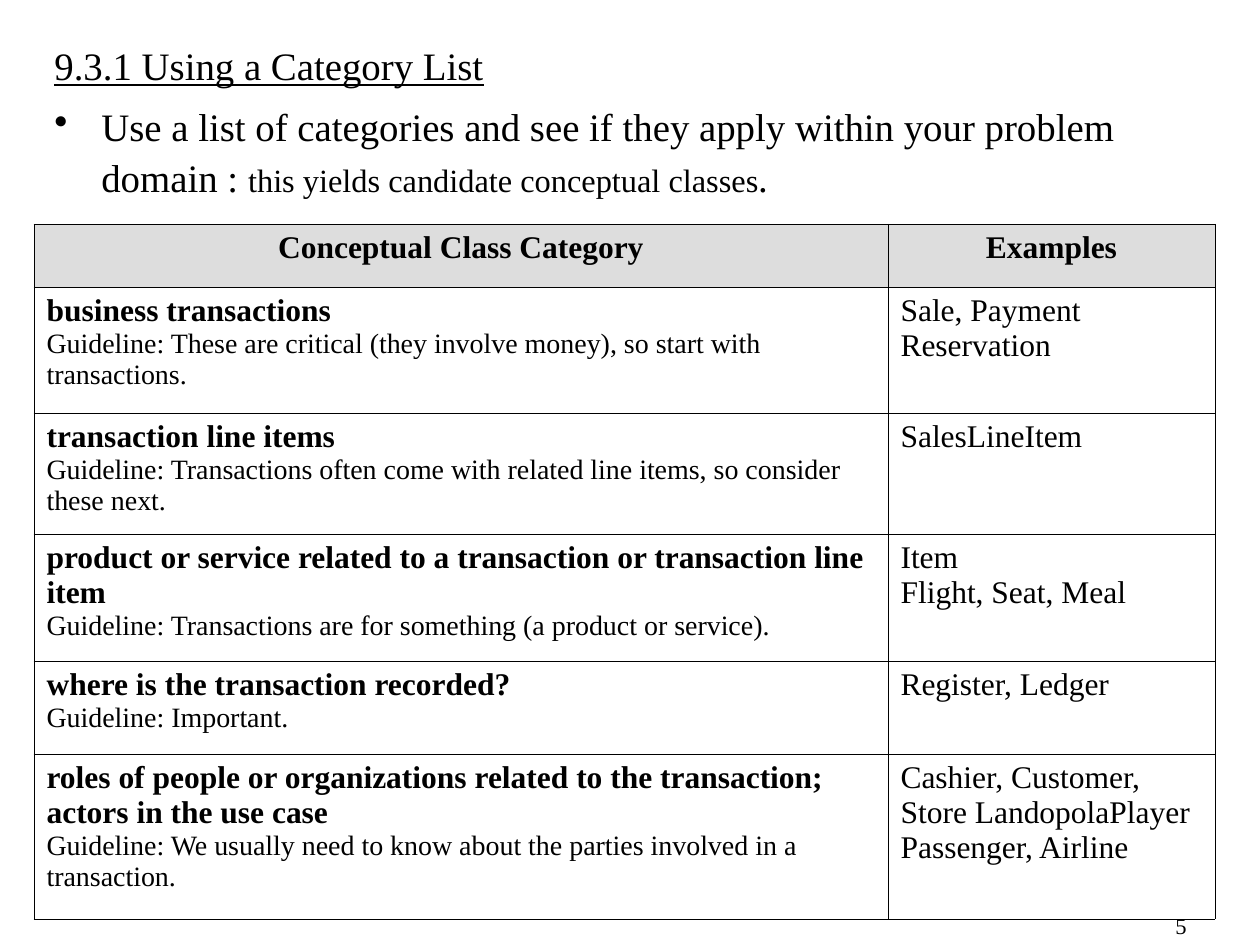
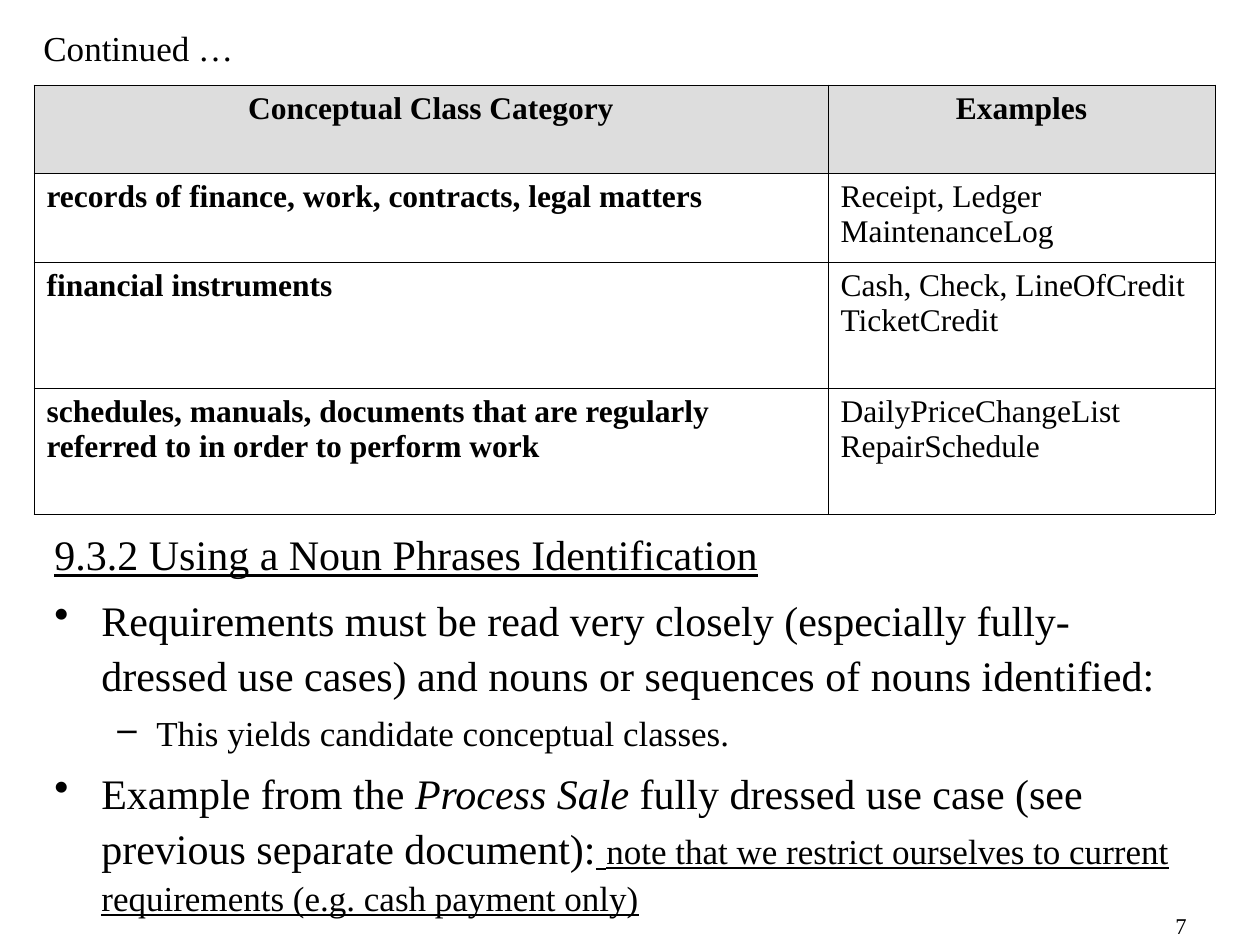
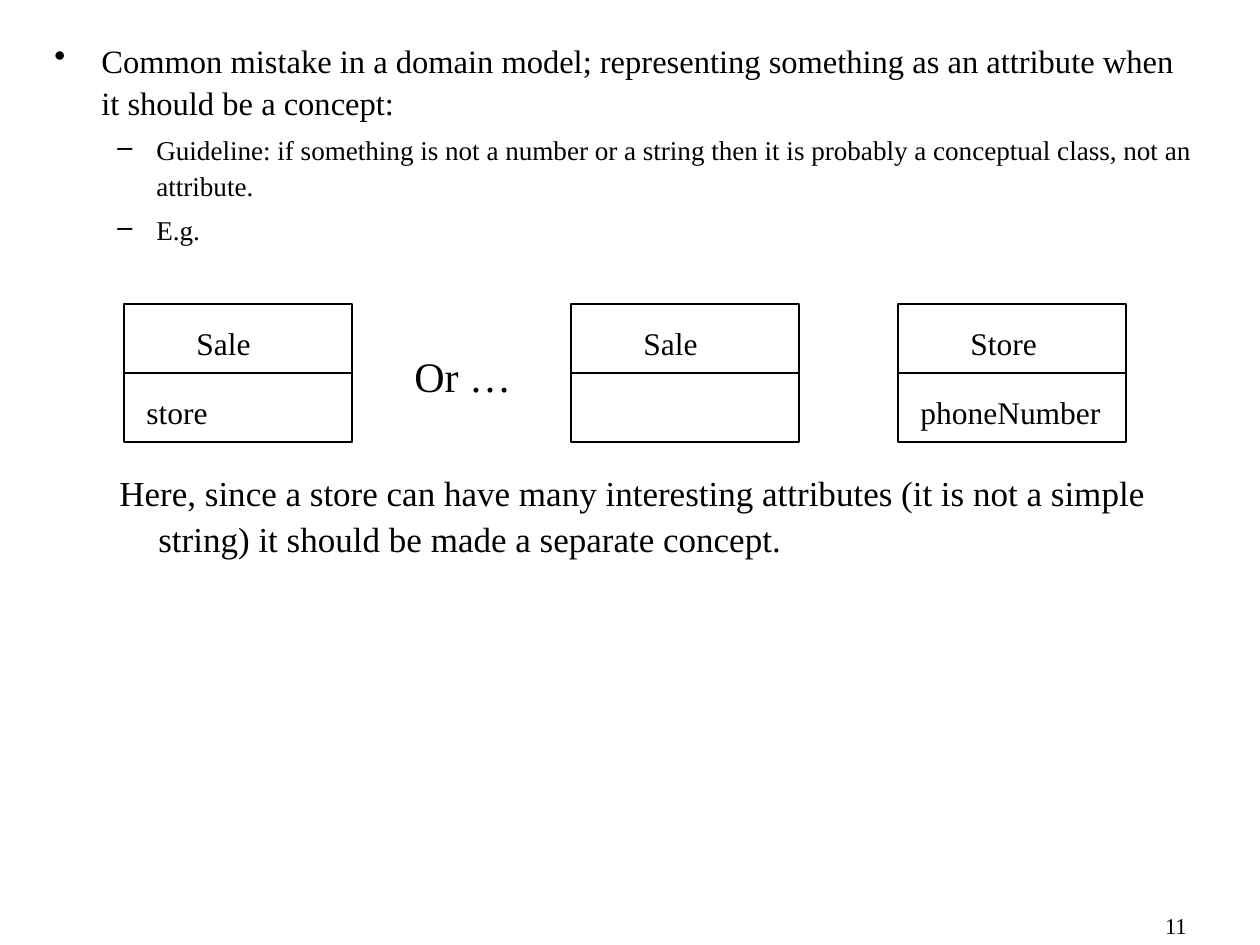
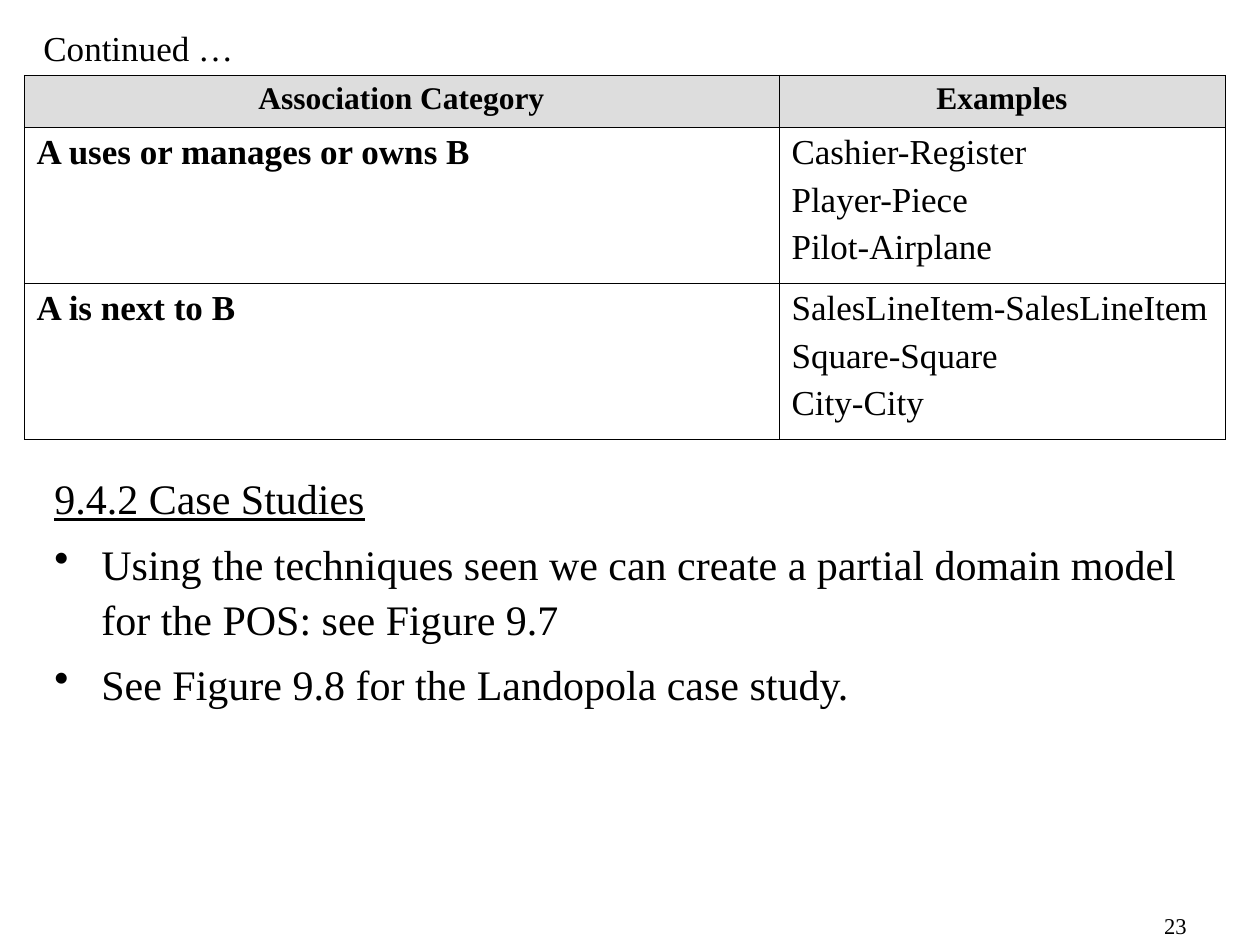
from lxml import etree
from pptx import Presentation
from pptx import util as u
from pptx.dml.color import RGBColor
from pptx.enum import shapes, text
from pptx.oxml import ns

PX = 914400 / 126
COLORS = {"ink": "000000", "header": "DDDDDD"}
FONT = "Times New Roman"
LINE_SPACING = 1.09
BORDER_PT = 0.34

# Paragraph kinds: level, left margin px, first-line indent px, bullet
KINDS = {
    "plain": (0, 0, 0, None),
    "heading": (0, 47, -47, None),
    "bullet": (0, 47, -47, "•"),
    "dash": (1, 102, -39, "–"),
    "hanging": (1, 102, -39, None),
}


def px(length):
    return u.Emu(round(length * PX))


def color(name):
    return RGBColor.from_string(COLORS[name])


def sub(parent, tag, **attributes):
    return etree.SubElement(parent, ns.qn(tag), attributes)


# Text
def style_font(font, size, bold=None, underline=None):
    font.name = FONT
    font.size = u.Pt(size)
    font.color.rgb = color("ink")
    font.bold = bold
    font.underline = underline


def next_paragraph(frame, first):
    return frame.paragraphs[0] if first else frame.add_paragraph()


def write_paragraph(para, content, size, kind="plain", before=0):
    """content is a string or a list of (words, font changes) spans."""
    level, margin, indent, bullet = KINDS[kind]
    para.level = level
    para.line_spacing = LINE_SPACING
    para.space_before = u.Pt(before)
    props = para._p.get_or_add_pPr()
    props.set("marL", str(px(margin)))
    props.set("indent", str(px(indent)))
    if bullet:
        sub(sub(props, "a:buClr"), "a:srgbClr", val=COLORS["ink"])
        sub(props, "a:buChar", char=bullet)
    else:
        sub(props, "a:buNone")
    style_font(para.font, size, underline=True if kind == "heading" else None)
    spans = [(content, {})] if isinstance(content, str) else content
    for words, changes in spans:
        span = para.add_run()
        span.text = words
        for name, value in changes.items():
            setattr(span.font, name, value)


def add_text(page, box_px, paragraphs, wrap=True):
    """paragraphs holds the arguments of write_paragraph."""
    box = page.shapes.add_textbox(*map(px, box_px))
    frame = box.text_frame
    frame.word_wrap = wrap
    for number, args in enumerate(paragraphs):
        write_paragraph(next_paragraph(frame, number == 0), *args)
    return box


def add_label(page, left, top, width, height, words, size):
    add_text(page, (left, top, width, height), [(words, size)], wrap=False)


def add_continued(page):
    add_label(page, 31, 16, 215, 55, "Continued …", 20)


def add_page(deck, number):
    page = deck.slides.add_slide(deck.slide_layouts[6])
    box = add_text(page, (937, 903, 262, 42), [(str(number), 12.9)])
    box.text_frame.paragraphs[0].alignment = text.PP_ALIGN.RIGHT
    return page


# Tables
def add_borders(cell):
    props = cell._tc.get_or_add_tcPr()
    for position, side in enumerate(("a:lnL", "a:lnR", "a:lnT", "a:lnB")):
        line = sub(props, side, w=str(u.Pt(BORDER_PT)))
        sub(sub(line, "a:solidFill"), "a:srgbClr", val=COLORS["ink"])
        props.insert(position, line)


def fill_cell(cell, lines, header=False, before=0):
    """lines holds (words, size, bold), one for each paragraph."""
    if header:
        cell.fill.solid()
        cell.fill.fore_color.rgb = color("header")
    else:
        cell.fill.background()
    add_borders(cell)
    for number, (words, size, bold) in enumerate(lines):
        para = next_paragraph(cell.text_frame, number == 0)
        para.alignment = text.PP_ALIGN.CENTER if header else text.PP_ALIGN.LEFT
        para.space_before = u.Pt(before if number else 0)
        para.add_run().text = words
        style_font(para.font, size, bold)


def add_category_table(page, left, top, widths, heights, title, rows, size=18, before=0):
    """rows holds (category, guideline or None, examples)."""
    frame = page.shapes.add_table(
        len(heights), len(widths), px(left), px(top), px(sum(widths)), px(sum(heights)))
    table = frame.table
    table.horz_banding = False
    table.first_row = False
    for column, width in zip(table.columns, widths):
        column.width = px(width)
    for row, height in zip(table.rows, heights):
        row.height = px(height)
    for column, words in enumerate((title, "Examples")):
        fill_cell(table.cell(0, column), [(words, 18, True)], header=True)
    for number, (category, guideline, examples) in enumerate(rows, 1):
        lines = [(category, size, True)]
        if guideline:
            lines.append(("Guideline: " + guideline, 16, False))
        fill_cell(table.cell(number, 0), lines)
        fill_cell(table.cell(number, 1), [(words, size, False) for words in examples],
                  before=before)


# Class diagram
def add_class_box(page, left, name, attribute=None):
    top, width, height = 304, 228, 138
    box = page.shapes.add_shape(
        shapes.MSO_SHAPE.RECTANGLE, px(left), px(top), px(width), px(height))
    box.shadow.inherit = False
    box.fill.background()
    middle = px(top + height / 2)
    divider = page.shapes.add_connector(
        shapes.MSO_CONNECTOR.STRAIGHT, px(left), middle, px(left + width), middle)
    divider.begin_connect(box, 1)
    divider.end_connect(box, 3)
    sub(divider._element.spPr, "a:effectLst")
    for outline in (box.line, divider.line):
        outline.color.rgb = color("ink")
        outline.width = u.Pt(0.75)
    add_label(page, left + 60, top + 10, 92, 50, name, 18)
    if attribute:
        add_label(page, left + 10, top + 79, 205, 50, attribute, 18)


# Slides
def build_category_list(deck):
    page = add_page(deck, 5)
    add_text(page, (42, 31, 1162, 173), [
        ("9.3.1 Using a Category List", 22.2, "heading"),
        ([("Use a list of categories and see if they apply within your problem domain : ", {}),
          ("this yields candidate conceptual classes", {"size": u.Pt(18.5)}),
          (".", {})], 22.2, "bullet", 6),
    ])
    add_category_table(
        page, 34, 224, (854, 327), (63, 126, 121, 127, 93, 165),
        "Conceptual Class Category", [
            ("business transactions",
             "These are critical (they involve money), so start with transactions.",
             ["Sale, Payment", "Reservation"]),
            ("transaction line items",
             "Transactions often come with related line items, so consider these next.",
             ["SalesLineItem"]),
            ("product or service related to a transaction or transaction line item",
             "Transactions are for something (a product or service).",
             ["Item", "Flight, Seat, Meal"]),
            ("where is the transaction recorded?", "Important.", ["Register, Ledger"]),
            ("roles of people or organizations related to the transaction; "
             "actors in the use case",
             "We usually need to know about the parties involved in a transaction.",
             ["Cashier, Customer, Store LandopolaPlayer Passenger, Airline"]),
        ])


def build_noun_phrases(deck):
    page = add_page(deck, 7)
    add_category_table(
        page, 34, 85, (794, 387), (88, 89, 126, 126), "Conceptual Class Category", [
            ("records of finance, work, contracts, legal matters", None,
             ["Receipt, Ledger", "MaintenanceLog"]),
            ("financial instruments", None,
             ["Cash, Check, LineOfCredit", "TicketCredit"]),
            ("schedules, manuals, documents that are regularly referred to "
             "in order to perform work", None,
             ["DailyPriceChangeList", "RepairSchedule"]),
        ])
    add_continued(page)
    add_text(page, (42, 518, 1162, 382), [
        ("9.3.2 Using a Noun Phrases Identification", 24, "heading"),
        ("Requirements must be read very closely (especially fully-dressed use cases) "
         "and nouns or sequences of nouns identified:", 24, "bullet", 6),
        ("This yields candidate conceptual classes.", 20, "dash", 5),
        ([("Example from the ", {}),
          ("Process Sale", {"italic": True}),
          (" fully dressed use case (see previous separate document):", {}),
          (" ", {"underline": True}),
          ("note that we restrict ourselves to current requirements "
           "(e.g. cash payment only)", {"underline": True, "size": u.Pt(20)})],
         24, "bullet", 5),
    ])


def build_common_mistake(deck):
    page = add_page(deck, 11)
    add_text(page, (42, 31, 1162, 213), [
        ("Common mistake in a domain model; representing something as an attribute "
         "when it should be a concept:", 18.6, "bullet"),
        ("Guideline: if something is not a number or a string then it is probably "
         "a conceptual class, not an attribute.", 15.5, "dash", 5),
        ("E.g.", 15.5, "dash", 5),
    ])
    add_class_box(page, 898, "Store", "phoneNumber")
    add_class_box(page, 571, "Sale")
    add_class_box(page, 124, "Sale", "store")
    add_label(page, 402, 340, 122, 63, "Or …", 24)
    add_text(page, (44, 462, 1162, 149), [
        ("Here, since a store can have many interesting attributes (it is not a simple "
         "string) it should be made a separate concept.", 20, "hanging"),
    ])


def build_case_studies(deck):
    page = add_page(deck, 23)
    add_continued(page)
    add_category_table(
        page, 24, 75, (755, 446), (52, 156, 156), "Association Category", [
            ("A uses or manages or owns B", None,
             ["Cashier-Register", "Player-Piece", "Pilot-Airplane"]),
            ("A is next to B", None,
             ["SalesLineItem-SalesLineItem", "Square-Square", "City-City"]),
        ], size=20, before=5)
    add_text(page, (42, 462, 1162, 427), [
        ("9.4.2 Case Studies", 24, "heading"),
        ("Using the techniques seen we can create a partial domain model for the POS: "
         "see Figure 9.7", 24, "bullet", 6),
        ("See Figure 9.8 for the Landopola case study.", 24, "bullet", 6),
    ])


def main():
    deck = Presentation()
    deck.slide_width, deck.slide_height = px(1260), px(945)
    build_category_list(deck)
    build_noun_phrases(deck)
    build_common_mistake(deck)
    build_case_studies(deck)
    deck.save("out.pptx")


if __name__ == "__main__":
    main()
